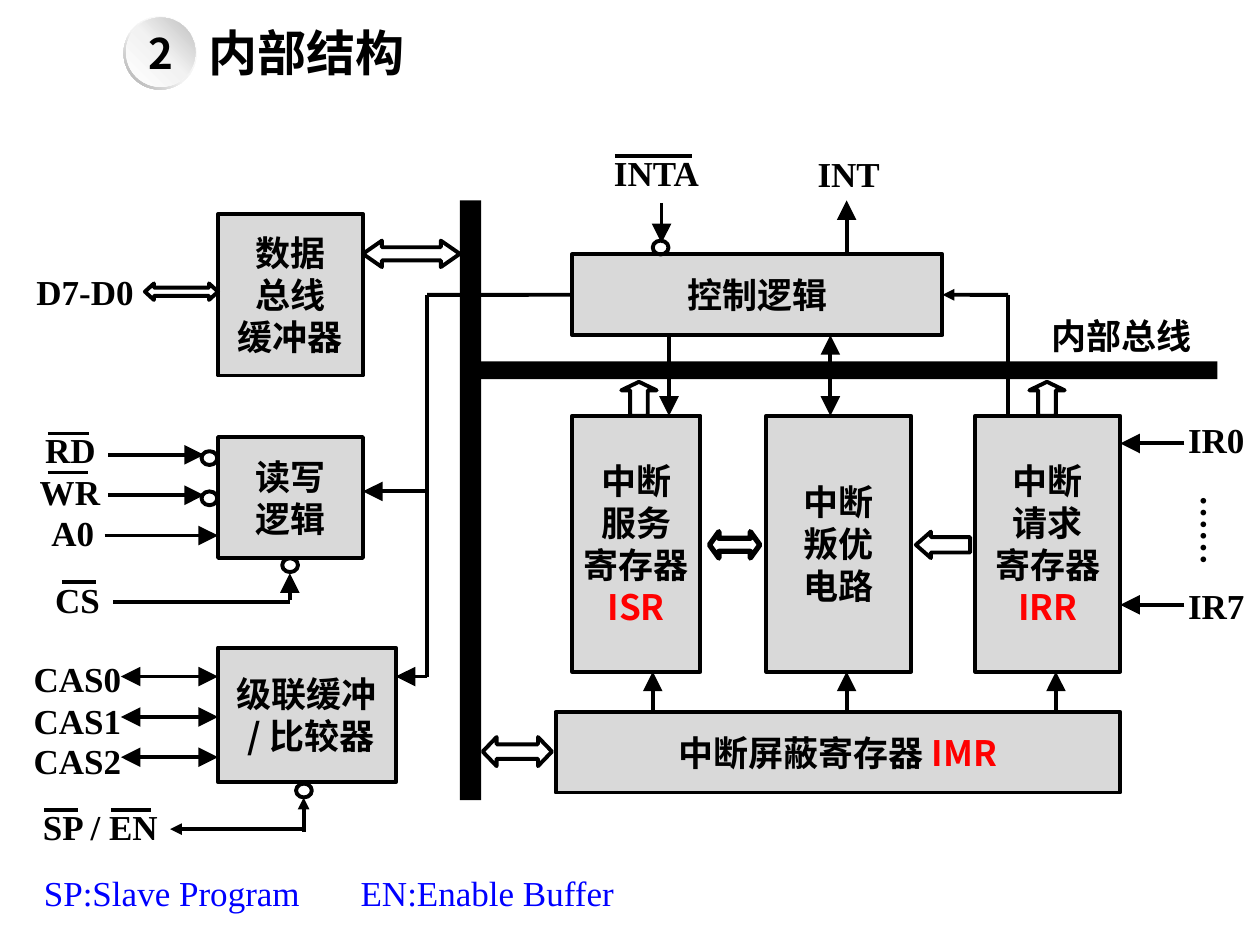
from lxml import etree
from pptx import Presentation
from pptx.dml.color import RGBColor
from pptx.enum.shapes import MSO_CONNECTOR, MSO_SHAPE
from pptx.enum.text import MSO_ANCHOR, MSO_AUTO_SIZE, PP_ALIGN
from pptx.oxml.ns import qn
from pptx.util import Pt

RECT, OVAL, DONUT = MSO_SHAPE.RECTANGLE, MSO_SHAPE.OVAL, MSO_SHAPE.DONUT
BOTH, UP, LEFT = MSO_SHAPE.LEFT_RIGHT_ARROW, MSO_SHAPE.UP_ARROW, MSO_SHAPE.LEFT_ARROW
STRAIGHT = MSO_CONNECTOR.STRAIGHT
MIDDLE, TOP = MSO_ANCHOR.MIDDLE, MSO_ANCHOR.TOP
CENTER, START = PP_ALIGN.CENTER, PP_ALIGN.LEFT
GROW = MSO_AUTO_SIZE.SHAPE_TO_FIT_TEXT
COLORS = {"ink": "000000", "panel": "D9D9D9", "accent": "FF0000", "note": "0000FF",
          "white": "FFFFFF", "pale": "F2F2F2", "silver": "BFBFBF", "gray": "A6A6A6"}
SANS, SERIF = "Noto Sans CJK SC", "Times New Roman"


def assign(target, values):
    for name, value in values.items():
        setattr(target, name, value)


class Diagram:
    """Draws styled boxes, labels, block arrows and wires on one slide."""

    def __init__(self, page):
        self.page = page
        self.line_width = 2.25
        self.text_size = 20

    def color(self, name):
        return RGBColor.from_string(COLORS[name])

    def shape(self, kind, left, top, width, height, fill=None, line="ink", weight=None, adjust=()):
        shape = self.page.shapes.add_shape(kind, Pt(left), Pt(top), Pt(width), Pt(height))
        shape.shadow.inherit = False
        for index, value in enumerate(adjust):
            shape.adjustments[index] = value
        if fill:
            shape.fill.solid()
            shape.fill.fore_color.rgb = self.color(fill)
        else:
            shape.fill.background()
        if line:
            shape.line.color.rgb = self.color(line)
            shape.line.width = Pt(weight or self.line_width)
        else:
            shape.line.fill.background()
        return shape

    def sphere(self, kind, left, top, side, stops, angle, adjust=()):
        shape = self.shape(kind, left, top, side, side, line=None, adjust=adjust)
        shape.fill.gradient()
        shape.fill.gradient_angle = angle
        stop_list = shape._element.spPr.find(".//" + qn("a:gsLst"))
        for stop in list(stop_list):
            stop_list.remove(stop)
        for position, name in stops:
            stop = etree.SubElement(stop_list, qn("a:gs"), pos=str(position * 1000))
            etree.SubElement(stop, qn("a:srgbClr"), val=COLORS[name])
        return shape

    def add_lines(self, frame, lines, font=SANS, size=None, bold=True, align=CENTER, color="ink"):
        for index, line in enumerate(lines):
            para = frame.paragraphs[0] if index == 0 else frame.add_paragraph()
            para.alignment = align
            for words, tint in line if isinstance(line, list) else [(line, color)]:
                span = para.add_run()
                span.text = words
                assign(span.font, {"size": Pt(size or self.text_size), "bold": bold, "name": font})
                span.font.color.rgb = self.color(tint)
                etree.SubElement(span.font._element, qn("a:ea"), typeface=SANS)

    def box(self, left, top, width, height, lines):
        box = self.shape(RECT, left, top, width, height, fill="panel")
        assign(box.text_frame, {"word_wrap": False, "vertical_anchor": MIDDLE})
        self.add_lines(box.text_frame, lines)
        return box

    def label(self, left, top, width, height, words, tight=False, wrap=True, **style):
        label = self.page.shapes.add_textbox(Pt(left), Pt(top), Pt(width), Pt(height))
        frame = label.text_frame
        assign(frame, {"word_wrap": wrap, "auto_size": GROW, "vertical_anchor": TOP})
        if tight:
            sides = ("left", "top", "right", "bottom")
            assign(frame, {f"margin_{side}": Pt(0) for side in sides})
        self.add_lines(frame, [words], **{"font": SERIF, "align": START, **style})
        return frame

    def wire(self, x1, y1, x2, y2, heads="", size="lg", weight=None):
        wire = self.page.shapes.add_connector(STRAIGHT, Pt(x1), Pt(y1), Pt(x2), Pt(y2))
        wire.line.color.rgb = self.color("ink")
        wire.line.width = Pt(weight or self.line_width)
        for end in heads.split():
            etree.SubElement(wire.line._get_or_add_ln(), qn(f"a:{end}End"),
                             type="triangle", w=size, len=size)
        etree.SubElement(wire._element.spPr, qn("a:effectLst"))
        return wire


def draw_title(diagram):
    diagram.label(112.3, 9.4, 130.3, 41, "内部结构", size=28)
    diagram.sphere(DONUT, 70.6, 9.4, 41.8, [(0, "white"), (55, "pale"), (100, "gray")], 225, [0.05])
    ball = diagram.sphere(OVAL, 72, 10.1, 39.6,
                          [(0, "white"), (51, "pale"), (100, "silver")], 45)
    assign(ball.text_frame, {"vertical_anchor": MIDDLE, "word_wrap": False})
    diagram.add_lines(ball.text_frame, ["2"], size=24)


def draw_blocks(diagram):
    diagram.wire(382.3, 191.5, 382.3, 237.6, "tail")
    diagram.wire(474.5, 191.5, 474.5, 237.6, "head tail")
    diagram.box(124.6, 122.4, 82.8, 92.2, ["数据", "总线", "缓冲器"])
    diagram.box(124.6, 249.8, 82.8, 69.1, ["读写", "逻辑"])
    diagram.box(124.6, 370.1, 101.5, 77, ["级联缓冲", " / 比较器"])
    control = diagram.box(326.9, 145.4, 211.7, 46.1, ["控制逻辑"])
    for left, width, lines in [
        (326.9, 73.4, ["中断", "服务", "寄存器", [("ISR", "accent")]]),
        (437.8, 82.8, ["中断", "叛优", "电路"]),
        (557.3, 82.8, ["中断", "请求", "寄存器", [("IRR", "accent")]]),
    ]:
        diagram.box(left, 237.6, width, 146.2, lines)
    diagram.box(317.5, 406.8, 322.6, 46.1, [[("中断屏蔽寄存器 ", "ink"), ("IMR", "accent")]])
    diagram.wire(576, 237.6, 576, 168.5)
    diagram.wire(576, 168.5, 538.6, 168.5, "tail", "med").end_connect(control, 3)
    diagram.wire(326.9, 168.5, 244.1, 168.5).begin_connect(control, 1)
    for bus in [(262.8, 114.5, 12.2, 342.7), (272.2, 206.6, 423.4, 10.1)]:
        diagram.shape(RECT, *bus, fill="ink", line=None)


def draw_block_arrows(diagram):
    for kind, left, top, width, height, adjust, weight in [
        (BOTH, 275.8, 421.2, 39.6, 16.6, (0.5, 0.48), 2.25),
        (BOTH, 207.4, 137.5, 55.4, 15.1, (0.5, 0.72), 2.25),
        (BOTH, 82.8, 162, 41.8, 9.4, (0.5, 0.55), 2.25),
        (BOTH, 405.4, 303.8, 28.8, 15.1, (0.49, 0.36), 3),
        (LEFT, 523.4, 303.8, 31, 15.1, (0.58, 0.57), 2.25),
        (UP, 355, 218.2, 20.2, 19.4, (0.5, 0.25), 2.25),
        (UP, 588.2, 218.2, 20.2, 19.4, (0.5, 0.25), 2.25),
    ]:
        diagram.shape(kind, left, top, width, height, weight=weight, adjust=adjust)


def draw_wires(diagram):
    for x in (373, 483.8, 603.4):
        diagram.wire(x, 406.8, x, 383.8, "tail")
    for y in (386.6, 409.7, 432.7):
        diagram.wire(124.6, y, 69.1, y, "head tail")
    for y in (253.4, 345.6):
        diagram.wire(676.8, y, 640.1, y, "tail")
    for y in (259.9, 283):
        diagram.wire(61.9, y, 116.6, y, "tail")
    for ends in [(483.8, 145.4, 483.8, 114.5), (378, 115.9, 378, 139),
                 (59.8, 306, 124.6, 306), (165.6, 342.7, 165.6, 327.6),
                 (244.1, 280.8, 207.4, 280.8), (244.1, 386.6, 226.1, 386.6)]:
        diagram.wire(*ends, "tail")
    for ends in [(173.5, 475.2, 173.5, 455.8), (172.8, 473.8, 97.2, 473.8)]:
        diagram.wire(*ends, "tail", "med")
    diagram.wire(165.6, 344.2, 64.8, 344.2)
    diagram.wire(244.1, 168.5, 244.1, 386.6)
    for left, top in [(115.2, 257.8), (115.2, 280.8), (161.3, 319), (169.2, 447.8), (373, 137.5)]:
        diagram.shape(OVAL, left, top, 9, 7.9)


def draw_labels(diagram):
    diagram.label(594, 176.4, 110.2, 31, "内部总线", font=SANS)
    for left, top, width, words in [
        (460.1, 83.5, 72, "INT"), (13.7, 151.2, 82.8, "D7-D0"), (22.3, 288.7, 55.4, "A0"),
        (671.8, 235.4, 48.2, "IR0"), (671.8, 330.5, 48.2, "IR7"),
    ]:
        diagram.label(left, top, width, 31.7, words)
    for left, top, width, words in [
        (23, 244.8, 34.6, "RD"), (18.7, 268.6, 42.5, "WR"), (25.2, 330.5, 38.2, "CS"),
        (18.7, 375.8, 51.1, "CAS0"), (18.7, 399.6, 51.1, "CAS1"), (18.7, 422.6, 51.1, "CAS2"),
    ]:
        diagram.label(left, top, width, 24.5, words, tight=True, align=CENTER)
    diagram.label(24.5, 460.1, 73.4, 24.5, "SP / EN", tight=True)
    diagram.label(350.6, 86.4, 49, 24.5, "INTA", tight=True, wrap=False, align=CENTER)
    dots = diagram.label(661.7, 275.8, 48.2, 69.1, "……")
    dots._txBody.bodyPr.set("vert", "eaVert")
    diagram.wire(351.4, 89.3, 395.3, 89.3)
    for left, right, y in [(27.4, 51.1, 247.7), (27.4, 50.4, 270), (35.3, 54.7, 332.6),
                           (25.2, 44.6, 463), (63.4, 86.4, 463)]:
        diagram.wire(left, y, right, y, weight=2)
    note = diagram.label(18, 494.6, 343.4, 31.7, "SP:Slave Program\tEN:Enable Buffer",
                         bold=False, color="note")
    tabs = etree.SubElement(note.paragraphs[0]._p.get_or_add_pPr(), qn("a:tabLst"))
    etree.SubElement(tabs, qn("a:tab"), pos=str(Pt(181)), algn="l")


def main():
    deck = Presentation()
    assign(deck, {"slide_width": Pt(720), "slide_height": Pt(540)})
    diagram = Diagram(deck.slides.add_slide(deck.slide_layouts[6]))
    for draw in (draw_title, draw_blocks, draw_block_arrows, draw_wires, draw_labels):
        draw(diagram)
    deck.save("out.pptx")


if __name__ == "__main__":
    main()
